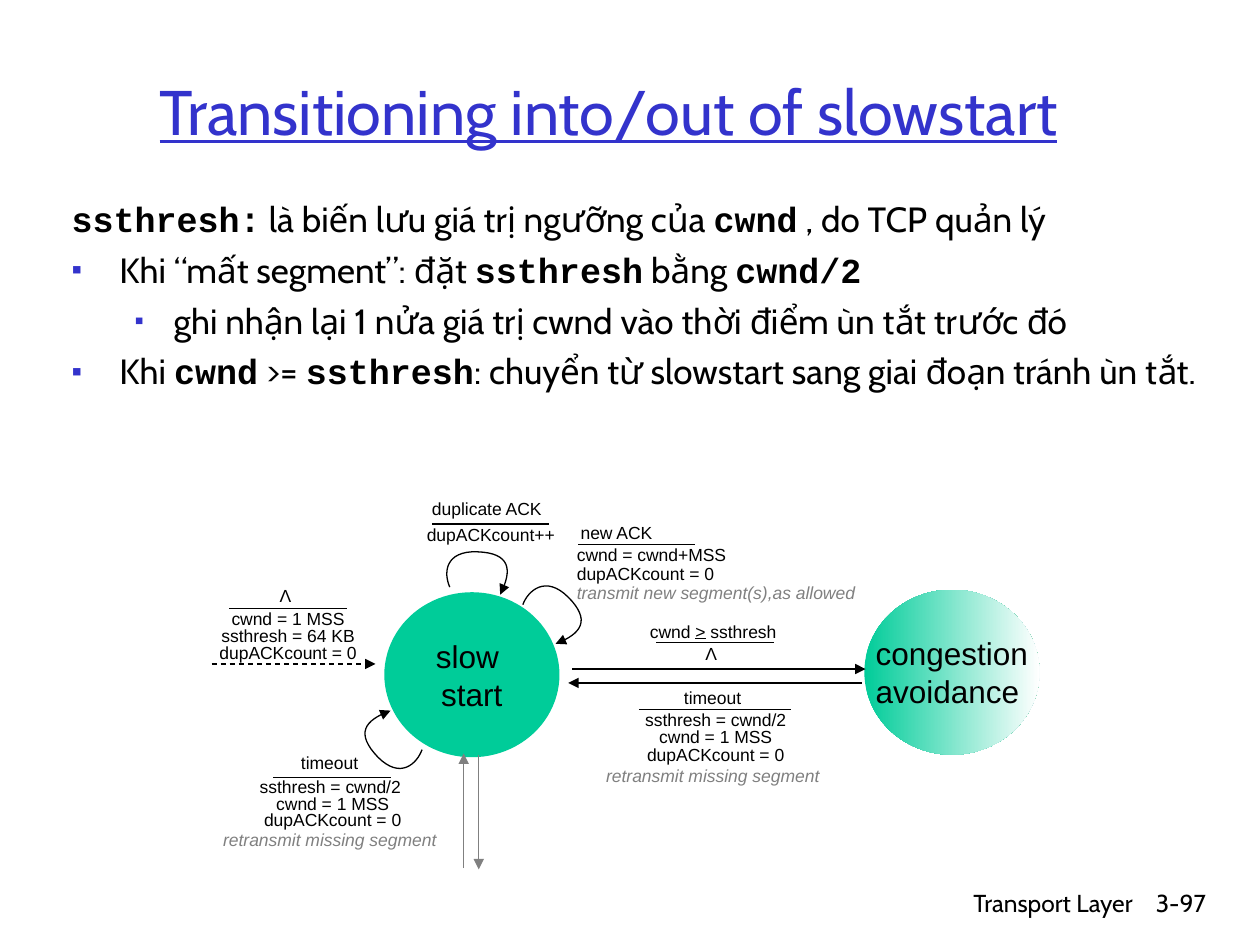
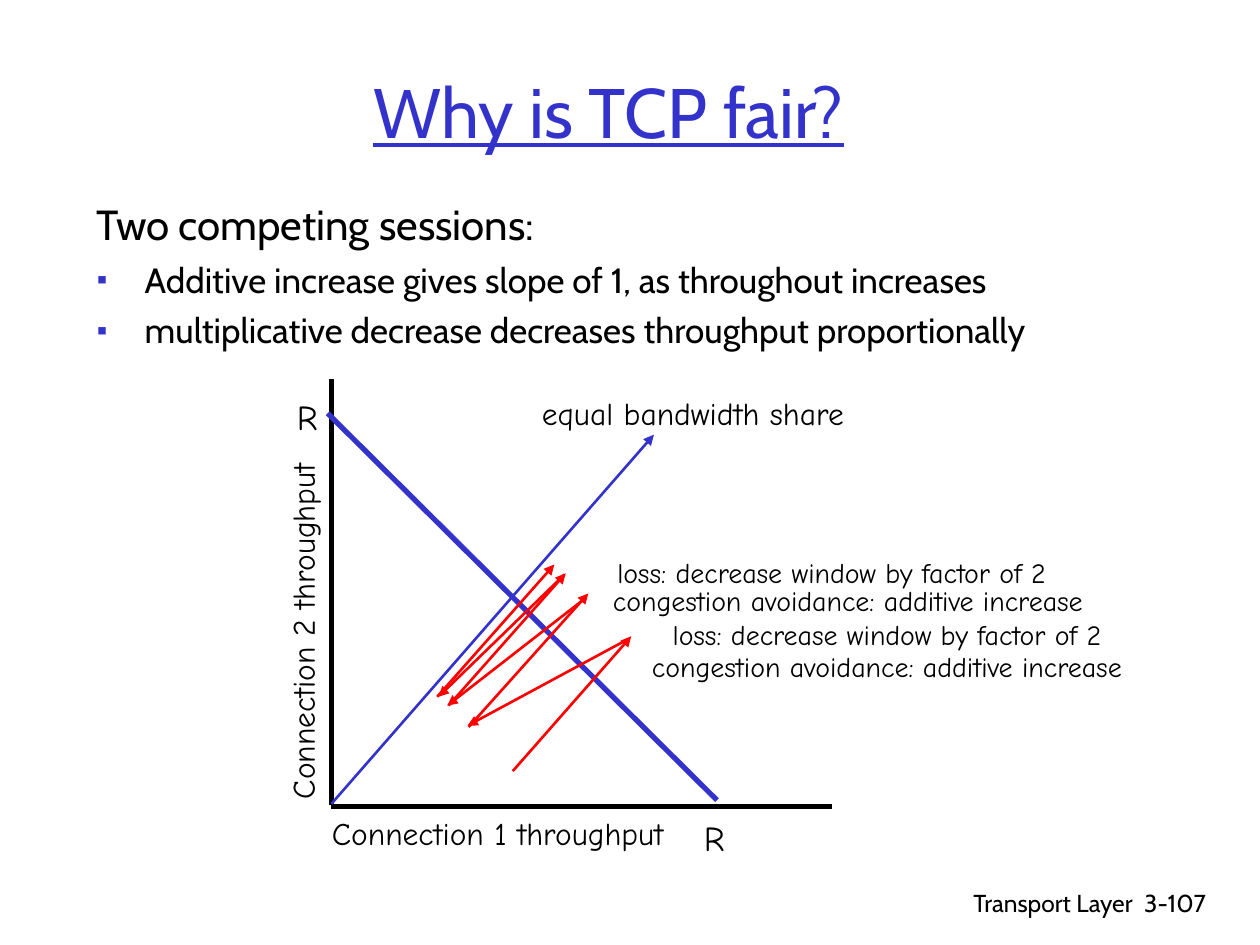
"""Build two transport layer slides: slow start transitions and TCP fairness."""
from dataclasses import dataclass
from typing import Any

from lxml.etree import SubElement
from pptx import Presentation
from pptx.dml.color import RGBColor
from pptx.enum.dml import MSO_LINE
from pptx.enum.shapes import MSO_CONNECTOR, MSO_SHAPE
from pptx.enum.text import MSO_ANCHOR, MSO_AUTO_SIZE, PP_ALIGN
from pptx.oxml.ns import qn
from pptx.util import Inches, Pt

COLORS = {
    "ink": "000000",
    "accent": "3333CC",
    "state": "00CC99",
    "paper": "FFFFFF",
    "muted": "808080",
    "sawtooth": "FF0000",
}
BODY_FONT, CODE_FONT, FSM_FONT, PLOT_FONT = "Cabin", "Courier New", "Arial", "Comic Neue"
LEFT, CENTER, RIGHT = PP_ALIGN.LEFT, PP_ALIGN.CENTER, PP_ALIGN.RIGHT
BAR_WIDTH = 0.93
CURVE_STEPS = 16

Point = tuple[float, float]
Box = tuple[float, float, float, float]


@dataclass(frozen=True)
class Label:
    at: Box
    lines: tuple[str, ...]
    size: float
    font: str = BODY_FONT
    color: str = "ink"
    align: PP_ALIGN = CENTER
    spacing: float = 1.0
    wrap: bool = True
    rotation: float = 0
    note: str = ""
    underline: bool = False
    anchor: MSO_ANCHOR = MSO_ANCHOR.TOP


@dataclass(frozen=True)
class Stroke:
    start: Point
    end: Point
    color: str = "ink"
    width: float = 0.75
    arrow: bool = True
    dashed: bool = False


@dataclass(frozen=True)
class Transition:
    event: str
    event_at: Box
    actions: tuple[str, ...]
    actions_at: Box
    bar_start: Point
    bar_width: float = BAR_WIDTH
    spacing: float = 0.8
    align: PP_ALIGN = CENTER
    note: str = ""


@dataclass(frozen=True)
class State:
    at: Box
    lines: tuple[str, ...]
    fades: bool = False


@dataclass(frozen=True)
class Statement:
    text: str
    size: float = 20
    level: int = 0
    bulleted: bool = True


@dataclass(frozen=True)
class Page:
    title: str
    title_size: float
    number: str
    body_at: Box
    statements: tuple[Statement, ...]


def rgb(color: str) -> RGBColor:
    return RGBColor.from_string(COLORS[color])


def apply(target: Any, values: dict[str, Any]) -> None:
    for name, value in values.items():
        setattr(target, name, value)


def add_run(paragraph: Any, text: str, color: str, **values: Any) -> None:
    run = paragraph.add_run()
    run.text = text
    apply(run.font, values)
    run.font.color.rgb = rgb(color)


def write_lines(frame: Any, label: Label) -> None:
    for index, line in enumerate(label.lines + ((label.note,) if label.note else ())):
        paragraph = frame.paragraphs[0] if index == 0 else frame.add_paragraph()
        apply(paragraph, {"alignment": label.align, "line_spacing": label.spacing})
        is_note = index == len(label.lines)
        add_run(paragraph, line, "muted" if is_note else label.color, name=label.font,
                size=Pt(label.size), italic=is_note, underline=label.underline)
        if is_note and label.align == CENTER:
            add_run(paragraph, " ", "ink", name=label.font, size=Pt(12))


def add_label(slide: Any, label: Label) -> None:
    box = slide.shapes.add_textbox(*map(Inches, label.at))
    box.rotation = label.rotation
    apply(box.text_frame, {
        "word_wrap": label.wrap,
        "auto_size": MSO_AUTO_SIZE.NONE if label.font == BODY_FONT else MSO_AUTO_SIZE.SHAPE_TO_FIT_TEXT,
        "vertical_anchor": label.anchor,
    })
    if not label.wrap:
        box.text_frame.margin_right = 0
        if label.align == CENTER:
            box.text_frame.margin_left = 0
    write_lines(box.text_frame, label)


def add_arrowhead(shape: Any) -> None:
    outline = shape._element.spPr.find(qn("a:ln"))
    SubElement(outline, qn("a:tailEnd"), type="triangle")


def add_stroke(slide: Any, stroke: Stroke) -> None:
    connector = slide.shapes.add_connector(
        MSO_CONNECTOR.STRAIGHT, *map(Inches, stroke.start + stroke.end))
    connector.line.color.rgb = rgb(stroke.color)
    connector.line.width = Pt(stroke.width)
    if stroke.dashed:
        connector.line.dash_style = MSO_LINE.DASH
    if stroke.arrow:
        add_arrowhead(connector)
    SubElement(connector._element.spPr, qn("a:effectLst"))


def bezier(controls: tuple[Point, ...], t: float) -> Point:
    weights = ((1 - t) ** 3, 3 * t * (1 - t) ** 2, 3 * t * t * (1 - t), t ** 3)
    x, y = (sum(w * c[axis] for w, c in zip(weights, controls)) for axis in (0, 1))
    return Inches(x), Inches(y)


def add_self_loop(slide: Any, knots: tuple[Point, ...]) -> None:
    points = [bezier(knots[first:first + 4], step / CURVE_STEPS)
              for first in (0, 3) for step in range(1, CURVE_STEPS + 1)]
    builder = slide.shapes.build_freeform(*map(Inches, knots[0]))
    builder.add_line_segments(points, close=False)
    loop = builder.convert_to_shape()
    loop.shadow.inherit = False
    loop.fill.background()
    loop.line.color.rgb = rgb("ink")
    loop.line.width = Pt(0.75)
    add_arrowhead(loop)


def add_state(slide: Any, state: State) -> None:
    circle = slide.shapes.add_shape(MSO_SHAPE.OVAL, *map(Inches, state.at))
    circle.shadow.inherit = False
    circle.line.fill.background()
    if state.fades:
        circle.fill.gradient()
        circle.fill.gradient_angle = 0
        for stop, color, position in zip(circle.fill.gradient_stops, ("state", "paper"), (0, 1)):
            stop.color.rgb = rgb(color)
            stop.position = position
    else:
        circle.fill.solid()
        circle.fill.fore_color.rgb = rgb("state")
    apply(circle.text_frame, {"word_wrap": False, "vertical_anchor": MSO_ANCHOR.MIDDLE})
    write_lines(circle.text_frame, Label(state.at, state.lines, 18, FSM_FONT))


def add_transition(slide: Any, transition: Transition) -> None:
    add_label(slide, Label(transition.event_at, (transition.event,), 10, FSM_FONT,
                           align=LEFT, wrap=False))
    add_label(slide, Label(transition.actions_at, transition.actions, 10, FSM_FONT,
                           align=transition.align, spacing=transition.spacing,
                           wrap=False, note=transition.note))
    x, y = transition.bar_start
    add_stroke(slide, Stroke((x, y), (x + transition.bar_width, y), arrow=False))


def add_bullet(properties: Any, level: int) -> None:
    color = SubElement(properties, qn("a:buClr"))
    SubElement(color, qn("a:srgbClr"), val=COLORS["accent"])
    SubElement(properties, qn("a:buSzPct"), val="75000" if level else "85000")
    SubElement(properties, qn("a:buFont"), typeface=FSM_FONT)
    SubElement(properties, qn("a:buChar"), char="▪")


def add_body(slide: Any, page: Page) -> None:
    frame = slide.shapes.add_textbox(*map(Inches, page.body_at)).text_frame
    frame.word_wrap = True
    for index, statement in enumerate(page.statements):
        paragraph = frame.add_paragraph() if index else frame.paragraphs[0]
        paragraph.level = statement.level
        margin, indent = (0.81, -0.31) if statement.level else (0.38, -0.38)
        properties = paragraph._p.get_or_add_pPr()
        properties.set("marL", str(Inches(margin)))
        properties.set("indent", str(Inches(indent)))
        if statement.bulleted:
            add_bullet(properties, statement.level)
        if index:
            paragraph.space_before = Pt(5)
        for part, text in enumerate(statement.text.split("`")):
            is_code = part % 2 == 1
            if text:
                add_run(paragraph, text, "ink", name=CODE_FONT if is_code else BODY_FONT,
                        size=Pt(statement.size), bold=is_code)


def add_page(deck: Any, page: Page) -> Any:
    slide = deck.slides.add_slide(deck.slide_layouts[6])
    add_label(slide, Label((5.92, 7, 3.17, 0.5), ("Transport Layer",), 14, align=RIGHT))
    add_label(slide, Label((8.93, 7, 0.74, 0.5), (page.number,), 14, align=RIGHT))
    add_label(slide, Label((0.58, 0.25, 8.5, 1.25), (page.title,), page.title_size,
                           color="accent", underline=True, anchor=MSO_ANCHOR.MIDDLE))
    add_body(slide, page)
    return slide


SLOW_START = Page("Transitioning into/out of slowstart", 36, "3-97", (0.47, 1.52, 9.53, 5.08), (
    Statement("`ssthresh:` là biến lưu giá trị ngưỡng của `cwnd` , do TCP quản lý", bulleted=False),
    Statement("Khi “mất segment”: đặt `ssthresh` bằng `cwnd/2`"),
    Statement("ghi nhận lại 1 nửa giá trị cwnd vào thời điểm ùn tắt trước đó", level=1),
    Statement("Khi `cwnd` >= `ssthresh`: chuyển từ slowstart sang giai đoạn tránh ùn tắt."),
))
FAIRNESS = Page("Why is TCP fair?", 40, "3-107", (0.67, 1.53, 9.08, 5.08), (
    Statement("Two competing sessions:", 24, bulleted=False),
    Statement("Additive increase gives slope of 1, as throughout increases"),
    Statement("multiplicative decrease decreases throughput proportionally"),
))
STATES = (
    State((3.05, 4.7, 1.39, 1.31), ("slow ", "start")),
    State((6.86, 4.68, 1.39, 1.31), ("congestion", "avoidance "), fades=True),
)
RESET = ("cwnd = 1 MSS", "dupACKcount = 0")
RETRANSMIT = "retransmit missing segment"
TRANSITIONS = (
    Transition("timeout", (5.33, 5.4, 0.65, 0.27), ("ssthresh = cwnd/2", *RESET),
               (4.71, 5.6, 1.94, 0.7), (5.07, 5.63), 1.21, 0.85, note=RETRANSMIT),
    Transition("timeout", (2.29, 5.92, 0.65, 0.27), ("ssthresh = cwnd/2 ", *RESET),
               (1.67, 6.14, 1.94, 0.66), (2.17, 6.17), note=RETRANSMIT),
    Transition("cwnd > ssthresh", (5.06, 4.88, 1.2, 0.27), ("Λ",),
               (5.5, 5.09, 0.29, 0.24), (5.21, 5.1)),
    Transition("new ACK", (4.51, 4.09, 0.77, 0.27), ("cwnd = cwnd+MSS", "dupACKcount = 0"),
               (4.48, 4.29, 2.4, 0.69), (4.59, 4.32), spacing=0.9, align=LEFT,
               note="transmit new segment(s),as allowed"),
    Transition("duplicate ACK", (3.33, 3.9, 1.07, 0.27), ("dupACKcount++",),
               (3.29, 4.14, 1.21, 0.37), (3.43, 4.16)),
    Transition("Λ", (2.12, 4.59, 0.29, 0.27), ("cwnd = 1 MSS", "ssthresh = 64 KB", "dupACKcount = 0"),
               (1.64, 4.81, 1.29, 0.5), (1.82, 4.83)),
)
FSM_STROKES = (
    Stroke((6.84, 5.42), (4.51, 5.42)),
    Stroke((4.54, 5.31), (6.87, 5.31)),
    Stroke((5.52, 5.07), (5.6, 5.07), arrow=False),
    Stroke((1.68, 5.27), (2.98, 5.27), dashed=True),
    Stroke((3.8, 5.99), (3.8, 6.9), "muted"),
    Stroke((3.68, 6.89), (3.68, 5.98), "muted"),
)
SELF_LOOPS = (
    ((3.57, 4.66), (3.52, 4.55), (3.53, 4.37), (3.79, 4.38), (4.05, 4.39), (4.07, 4.52), (3.97, 4.72)),
    ((4.15, 4.8), (4.19, 4.69), (4.33, 4.56), (4.51, 4.74), (4.69, 4.92), (4.62, 5.03), (4.41, 5.11)),
    ((3.35, 5.95), (3.31, 6.06), (3.18, 6.19), (3, 6.01), (2.82, 5.82), (2.89, 5.72), (3.1, 5.64)),
)
PLOT_STROKES = (
    Stroke((2.63, 6.4), (6.6, 6.4), width=3, arrow=False),
    Stroke((2.63, 6.39), (2.63, 3.01), width=3, arrow=False),
    Stroke((2.63, 6.38), (5.19, 3.45), "accent", 1.5),
    Stroke((2.6, 3.28), (5.69, 6.35), "accent", 3, arrow=False),
)
SAWTOOTH = (
    ((4.07, 6.12), (5.01, 5.05)), ((4.99, 5.07), (3.71, 5.76)),
    ((3.72, 5.77), (4.67, 4.71)), ((4.63, 4.76), (3.55, 5.6)),
    ((3.56, 5.6), (4.49, 4.55)), ((4.48, 4.56), (3.48, 5.53)), ((3.47, 5.53), (4.4, 4.48)),
)
INCREASE = ("congestion avoidance: additive increase",)
LOSS = ("loss: decrease window by factor of 2",)
PLOT_LABELS = (
    Label((2.22, 3.09, 0.44, 0.44), ("R",), 20, PLOT_FONT),
    Label((5.45, 6.43, 0.44, 0.44), ("R",), 20, PLOT_FONT),
    Label((3.56, 3.08, 3.88, 0.4), ("equal bandwidth share",), 18, PLOT_FONT),
    Label((2.01, 6.41, 3.88, 0.4), ("Connection 1 throughput",), 18, PLOT_FONT),
    Label((0.46, 4.81, 3.88, 0.4), ("Connection 2 throughput",), 18, PLOT_FONT, rotation=270),
    Label((4.56, 5.11, 4.96, 0.37), INCREASE, 16, PLOT_FONT),
    Label((5.23, 4.85, 3.62, 0.37), LOSS, 16, PLOT_FONT, wrap=False),
    Label((4.25, 4.58, 4.96, 0.37), INCREASE, 16, PLOT_FONT),
    Label((4.79, 4.36, 3.62, 0.37), LOSS, 16, PLOT_FONT, wrap=False),
)


def main() -> None:
    deck = Presentation()
    deck.slide_width, deck.slide_height = Inches(10), Inches(7.5)
    slow_start, fairness = add_page(deck, SLOW_START), add_page(deck, FAIRNESS)
    sawtooth = tuple(Stroke(start, end, "sawtooth", 1.5) for start, end in SAWTOOTH)
    for slide, draw, items in (
        (slow_start, add_state, STATES),
        (slow_start, add_transition, TRANSITIONS),
        (slow_start, add_stroke, FSM_STROKES),
        (slow_start, add_self_loop, SELF_LOOPS),
        (fairness, add_stroke, PLOT_STROKES + sawtooth),
        (fairness, add_label, PLOT_LABELS),
    ):
        for item in items:
            draw(slide, item)
    deck.save("out.pptx")


if __name__ == "__main__":
    main()
